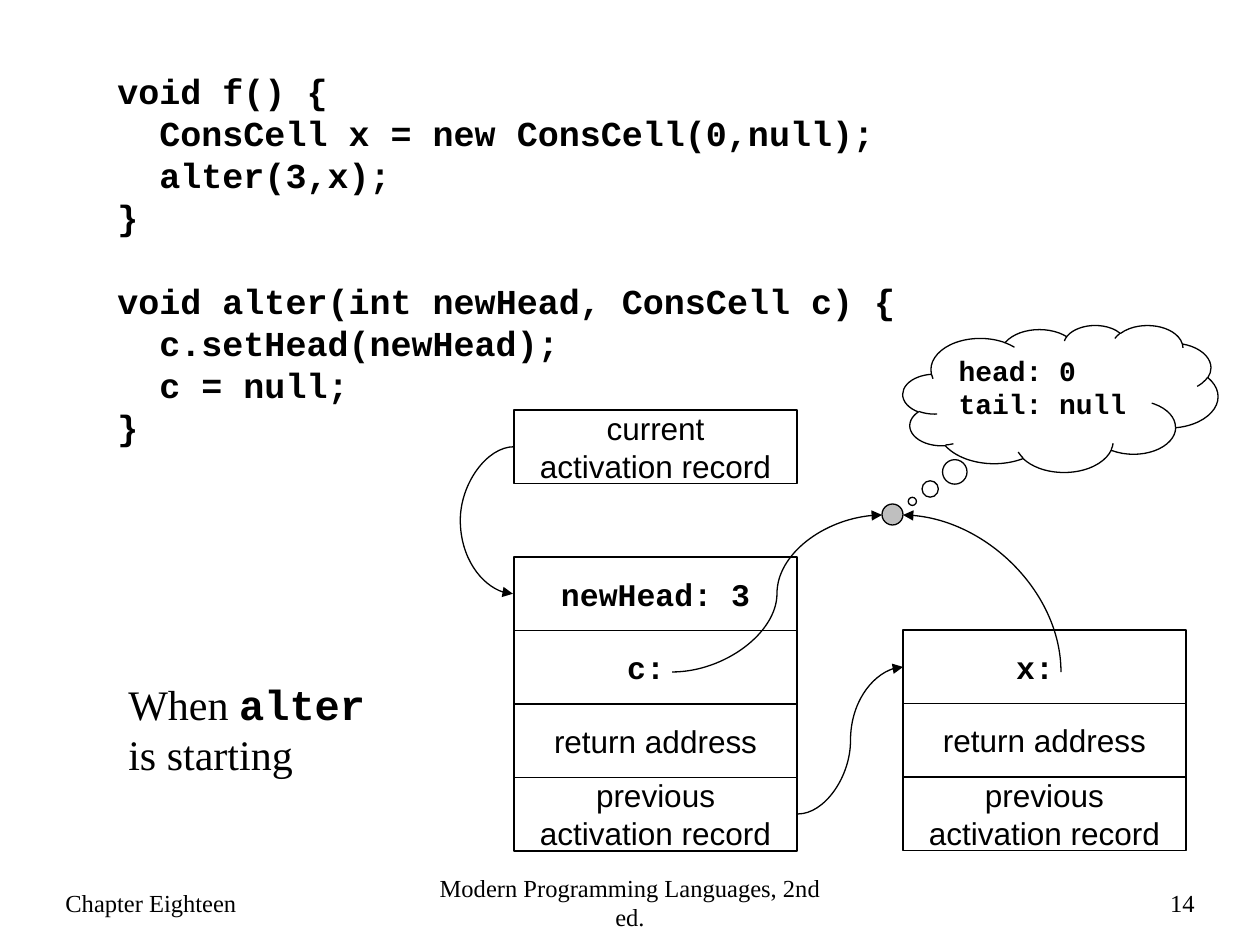
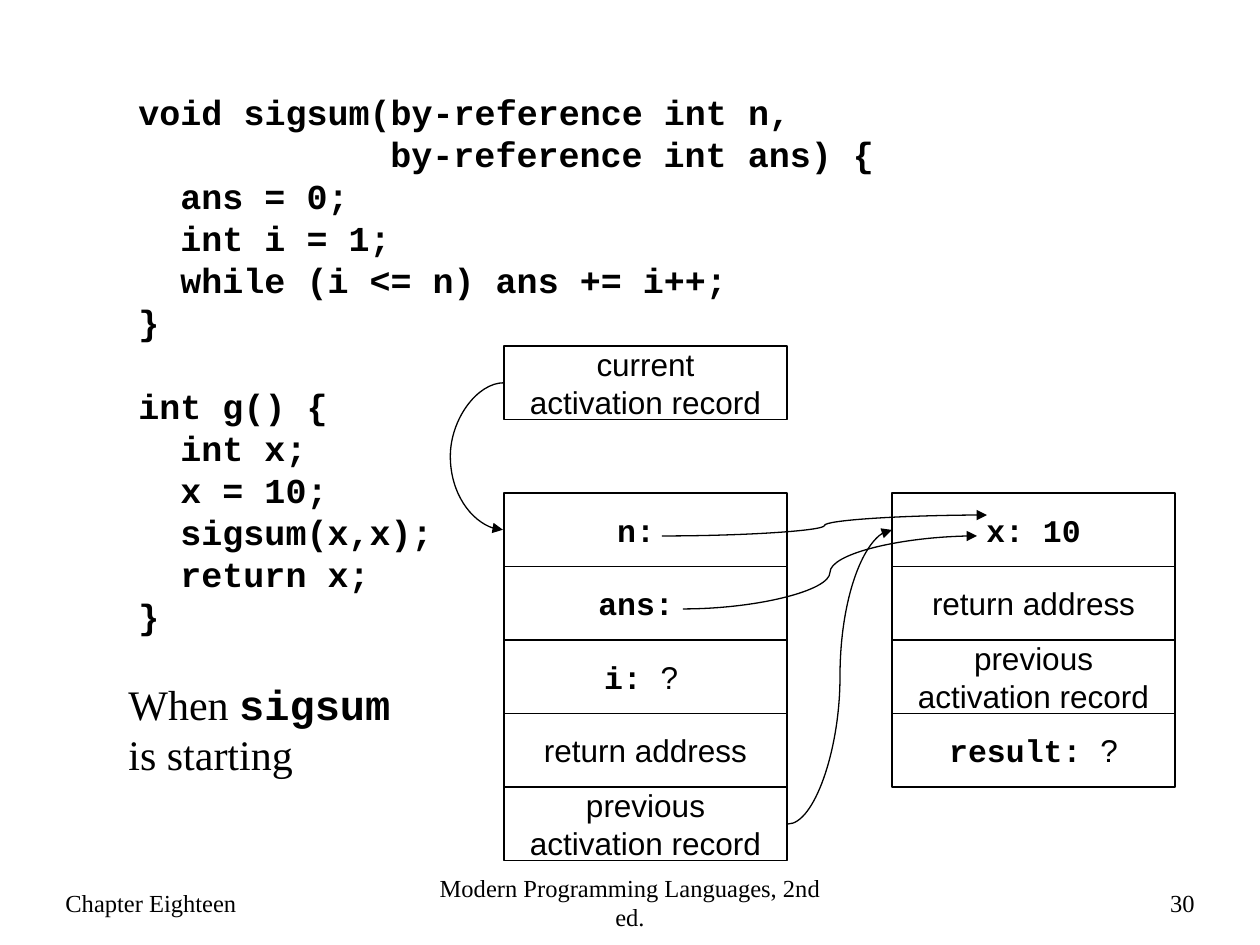
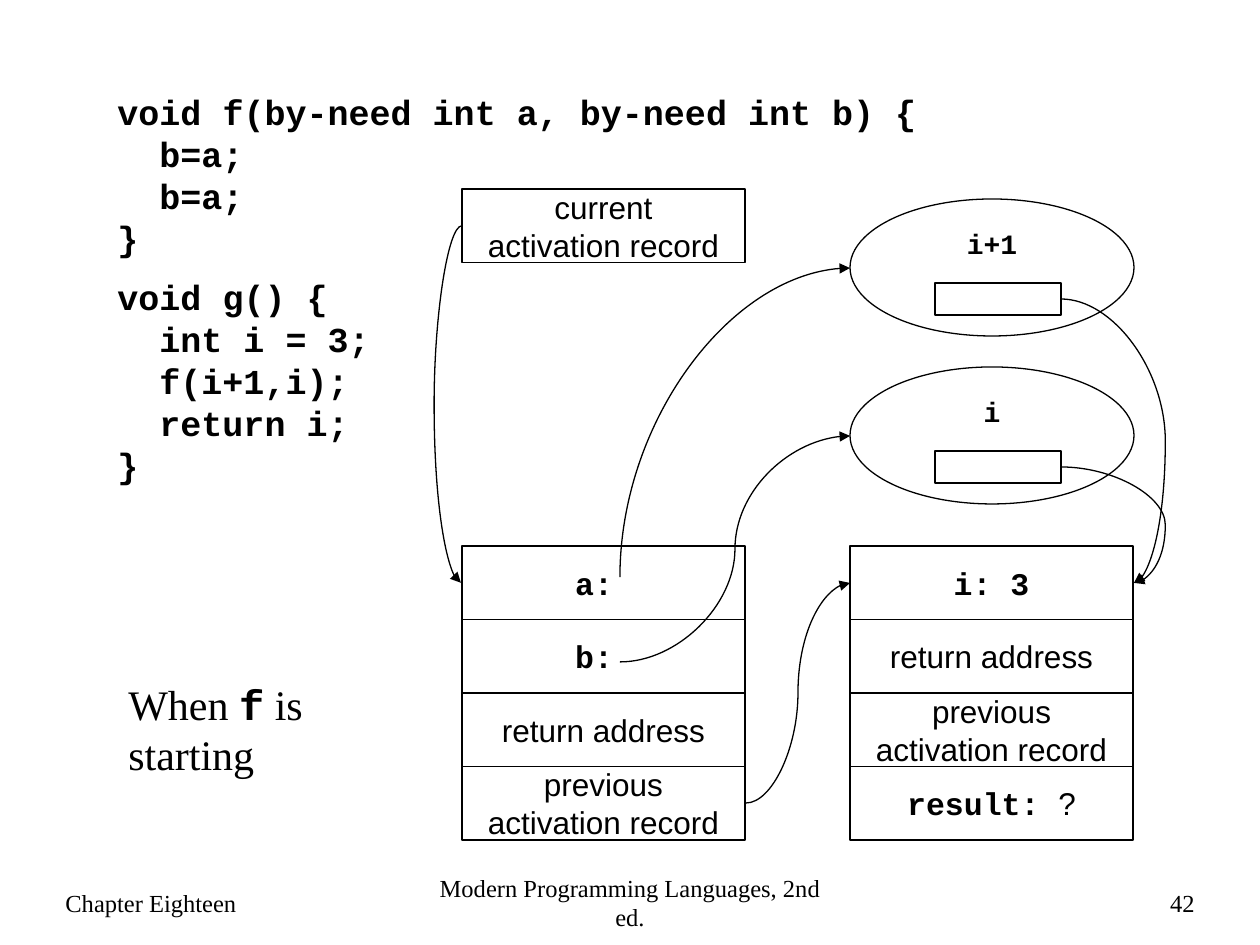
from dataclasses import dataclass

from lxml.etree import SubElement
from pptx import Presentation
from pptx.dml.color import RGBColor
from pptx.enum.shapes import MSO_CONNECTOR, MSO_SHAPE
from pptx.enum.text import MSO_ANCHOR, PP_ALIGN
from pptx.oxml.ns import qn
from pptx.util import Pt


@dataclass(frozen=True)
class Type:
    font: str
    size: int
    bold: bool = False


@dataclass(frozen=True)
class Theme:
    ink: RGBColor = RGBColor(0, 0, 0)
    paper: RGBColor = RGBColor(255, 255, 255)
    object_grey: RGBColor = RGBColor(0xBF, 0xBF, 0xBF)
    stroke: float = 0.75
    leading: float = 1.2
    footer: Type = Type("Times New Roman", 14)
    caption: Type = Type("Times New Roman", 24)
    caption_code: Type = Type("Courier New", 24, True)
    code: Type = Type("Courier New", 20, True)
    label: Type = Type("Arial", 18)
    variable: Type = Type("Courier New", 18, True)
    thought: Type = Type("Courier New", 16, True)


THEME = Theme()
BOX_WIDTH, ROW_HEIGHT = 283, 147 / 2
CODE_LINE, CODE_CHARACTER = 42, 21
RETURN = [("return address", THEME.label)]
PREVIOUS = [("previous activation record", THEME.label)]
CURRENT = [("current\vactivation record", THEME.label)]
RESULT = [("result: ", THEME.variable), ("?", THEME.label)]


def px(length):
    return round(length * 914400 / 126)


def variable(text):
    return [(text, THEME.variable)]


class Deck:
    def __init__(self, theme):
        self.theme = theme
        self.presentation = Presentation()
        self.presentation.slide_width = px(1260)
        self.presentation.slide_height = px(945)
        self.slide = None

    def new_slide(self, number):
        self.slide = self.presentation.slides.add_slide(
            self.presentation.slide_layouts[6])
        for left, width, words, align in (
                (53, 284, "Chapter Eighteen", PP_ALIGN.LEFT),
                (420, 420, "Modern Programming Languages, 2nd ed.", PP_ALIGN.CENTER),
                (945, 262, str(number), PP_ALIGN.RIGHT)):
            self.text(left, 871, width, 63, [(words, self.theme.footer)],
                      align, MSO_ANCHOR.MIDDLE)

    def typeset(self, paragraph, parts, align=PP_ALIGN.LEFT):
        paragraph.alignment = align
        paragraph.line_spacing = Pt(
            self.theme.leading * max(style.size for _, style in parts))
        for words, style in parts:
            for index, line in enumerate(words.split("\v")):
                if index:
                    paragraph.add_line_break()
                run = paragraph.add_run()
                run.text = line
                run.font.name = style.font
                run.font.size = Pt(style.size)
                run.font.bold = style.bold
                run.font.color.rgb = self.theme.ink

    def frame(self, left, top, width, height):
        frame = self.slide.shapes.add_textbox(
            px(left), px(top), px(width), px(height)).text_frame
        frame.word_wrap = True
        return frame

    def text(self, left, top, width, height, parts,
             align=PP_ALIGN.LEFT, anchor=MSO_ANCHOR.TOP):
        frame = self.frame(left, top, width, height)
        frame.vertical_anchor = anchor
        self.typeset(frame.paragraphs[0], parts, align)

    def code(self, left, top, width, blocks, gap=CODE_LINE):
        blocks = [block.strip().split("\n") for block in blocks]
        height = CODE_LINE * sum(map(len, blocks)) + gap * (len(blocks) - 1) + 13
        frame = self.frame(left, top, width, height)
        paragraph = frame.paragraphs[0]
        for block_index, block in enumerate(blocks):
            for line_index, line in enumerate(block):
                if block_index or line_index:
                    paragraph = frame.add_paragraph()
                if block_index and not line_index:
                    paragraph.space_before = px(gap)
                statement = line.lstrip()
                indent = CODE_CHARACTER * (len(line) - len(statement))
                self.typeset(paragraph, [(statement, self.theme.code)])
                paragraph._p.get_or_add_pPr().set("marL", str(px(indent)))

    def caption(self, function, width=262):
        self.text(116, 672, width, 113, [
            ("When ", self.theme.caption), (function, self.theme.caption_code),
            (" is starting", self.theme.caption)])

    def shape(self, kind, left, top, width, height, fill=None):
        shape = self.slide.shapes.add_shape(
            kind, px(left), px(top), px(width), px(height))
        shape.shadow.inherit = False
        if fill is None:
            shape.fill.background()
        else:
            shape.fill.solid()
            shape.fill.fore_color.rgb = fill
        shape.line.color.rgb = self.theme.ink
        shape.line.width = Pt(self.theme.stroke)
        return shape

    def record(self, left, top, rows):
        for index, parts in enumerate(rows):
            row = self.shape(MSO_SHAPE.RECTANGLE, left, top + index * ROW_HEIGHT,
                             BOX_WIDTH, ROW_HEIGHT)
            row.text_frame.word_wrap = True
            row.text_frame.vertical_anchor = MSO_ANCHOR.MIDDLE
            self.typeset(row.text_frame.paragraphs[0], parts, PP_ALIGN.CENTER)

    def current_record(self, left, top, record_top, reach):
        self.record(left, top, [CURRENT])
        middle = ROW_HEIGHT / 2
        self.arrow((left, top + middle), (left - 1, record_top + middle), bend=reach)

    def thunk(self, top, expression):
        self.shape(MSO_SHAPE.OVAL, 850, top, 284, 137)
        self.text(882, top + 21, 220, 46, [(expression, self.theme.thought)],
                  PP_ALIGN.CENTER)
        self.shape(MSO_SHAPE.RECTANGLE, 935, top + 84, 126, 32, self.theme.paper)

    def cloud(self, left, top, width, height, words):
        cloud = self.shape(MSO_SHAPE.CLOUD_CALLOUT, left, top, width, height)
        cloud.adjustments[0], cloud.adjustments[1] = -0.47, 0.7
        cloud.text_frame.word_wrap = True
        cloud.text_frame.vertical_anchor = MSO_ANCHOR.TOP
        self.typeset(cloud.text_frame.paragraphs[0], [(words, self.theme.thought)])

    def arrow(self, start, end, bend=0.5):
        properties = self.curve(start, end, "tailEnd")
        guides = properties.find(qn("a:prstGeom")).get_or_add_avLst()
        SubElement(guides, qn("a:gd"), name="adj1", fmla=f"val {round(bend * 100000)}")

    def quarter_arrow(self, start, end):
        properties = self.curve(end, start, "headEnd")
        properties.find(qn("a:prstGeom")).set("prst", "curvedConnector2")

    def curve(self, start, end, arrow_end):
        connector = self.slide.shapes.add_connector(
            MSO_CONNECTOR.CURVE, *map(px, start), *map(px, end))
        connector.line.color.rgb = self.theme.ink
        connector.line.width = Pt(self.theme.stroke)
        properties = connector._element.spPr
        SubElement(properties.find(qn("a:ln")), qn(f"a:{arrow_end}"),
                   type="triangle", w="med", len="med")
        SubElement(properties, qn("a:effectLst"))
        return properties


def object_parameter(deck):
    deck.new_slide(14)
    deck.code(105, 63, 819, ["""
void f() {
  ConsCell x = new ConsCell(0,null);
  alter(3,x);
}""", """
void alter(int newHead, ConsCell c) {
  c.setHead(newHead);
  c = null;
}"""])
    deck.caption("alter")
    deck.record(903, 630, [variable("x: "), RETURN, PREVIOUS])
    deck.record(514, 557, [variable("newHead: 3"), variable("c: "), RETURN, PREVIOUS])
    deck.current_record(514, 410, 557, 54)
    deck.arrow((798, 814), (903, 667))
    deck.shape(MSO_SHAPE.OVAL, 882, 504, 21, 21, deck.theme.object_grey)
    deck.cloud(903, 325, 315, 147, "head: 0\vtail: null")
    deck.arrow((672, 672), (882, 515))
    deck.quarter_arrow((1061, 672), (903, 515))


def by_reference(deck):
    deck.new_slide(30)
    deck.code(126, 84, 977, ["""
void sigsum(by-reference int n,
            by-reference int ans) {
  ans = 0;
  int i = 1;
  while (i <= n) ans += i++;
}""", """
int g() {
  int x;
  x = 10;
  sigsum(x,x);
  return x;
}"""])
    deck.caption("sigsum", 294)
    deck.record(892, 493, [variable("x: 10"), RETURN, PREVIOUS, RESULT])
    deck.record(504, 493, [
        variable("n: "), variable("ans: "),
        variable("i: ") + [("? ", deck.theme.label)], RETURN, PREVIOUS])
    deck.current_record(504, 346, 493, 54)
    deck.arrow((662, 536), (987, 515))
    deck.arrow((683, 609), (977, 536))
    deck.arrow((788, 824), (892, 530))


def by_need(deck):
    deck.new_slide(42)
    deck.code(105, 84, 861, ["""
void f(by-need int a, by-need int b) {
  b=a;
  b=a;
}""", """
void g() {
  int i = 3;
  f(i+1,i);
  return i;
}"""], gap=17)
    deck.caption("f")
    deck.record(850, 546, [variable("i: 3"), RETURN, PREVIOUS, RESULT])
    deck.record(462, 546, [variable("a: "), variable("b: "), RETURN, PREVIOUS])
    deck.current_record(462, 189, 546, 28)
    for top, expression in ((367, "i"), (199, "i+1")):
        deck.thunk(top, expression)
        deck.arrow((1061, top + 100), (1134, 583), bend=1.43)
    deck.arrow((746, 803), (850, 583))
    deck.quarter_arrow((620, 577), (850, 268))
    deck.arrow((620, 662), (850, 436))


deck = Deck(THEME)
object_parameter(deck)
by_reference(deck)
by_need(deck)
deck.presentation.save("out.pptx")
